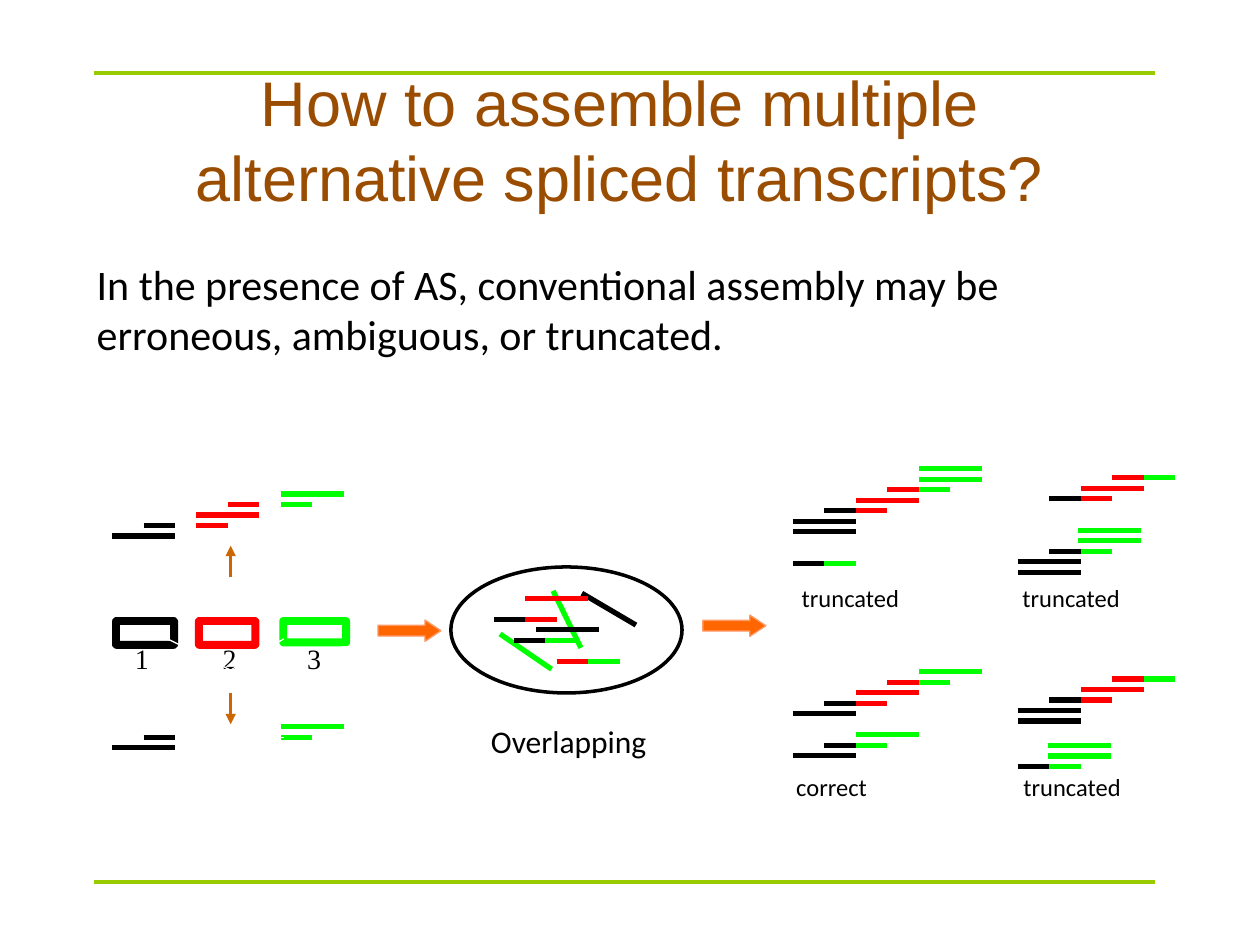
from pptx import Presentation
from pptx.dml.color import RGBColor
from pptx.enum.shapes import MSO_CONNECTOR, MSO_SHAPE
from pptx.enum.text import MSO_ANCHOR, PP_ALIGN
from pptx.oxml.ns import qn
from pptx.util import Cm, Pt
from lxml import etree

STRAIGHT = MSO_CONNECTOR.STRAIGHT
ROUNDED = MSO_SHAPE.ROUNDED_RECTANGLE
OVAL = MSO_SHAPE.OVAL
RIGHT_ARROW = MSO_SHAPE.RIGHT_ARROW
MIDDLE, TOP = MSO_ANCHOR.MIDDLE, MSO_ANCHOR.TOP
CENTER, LEFT = PP_ALIGN.CENTER, PP_ALIGN.LEFT

COLORS = {
    "black": "000000", "red": "FF0000", "green": "00FF00", "white": "FFFFFF",
    "title": "9A4D00", "rule": "99CC00", "pointer": "CC6600",
    "arrow": "FF6600", "arrow_edge": "FF9966",
}
COLUMN = 0.635
ROW = 0.2117
EXON_2, EXON_3 = 2.68, 5.36

UNSPLICED_READS = [
    ("green", EXON_3, 0, 2), ("green", EXON_3, 1, 1),
    ("red", EXON_2 + 1, 1, 1), ("red", EXON_2, 2, 2), ("red", EXON_2, 3, 1),
    ("black", 1, 3, 1), ("black", 0, 4, 2),
]
SKIPPED_READS = [
    ("green", EXON_3, 0, 2), ("green", EXON_3, 1, 1),
    ("black", 1, 1, 1), ("black", 0, 2, 2),
]
MIXED_READS = [
    ("red", 1, 0, 2), ("black", 0, 2, 1), ("red", 1, 2, 1),
    ("black", 1.36, 3, 2), ("black", 0.64, 4, 1), ("green", 1.64, 4, 1),
    ("red", 2, 6, 1), ("green", 3, 6, 1),
]
MIXED_DIAGONALS = [
    ("green", 2.62, 1.63, 2.06, 0.48),
    ("black", 2.64, 0.53, 3.73, 1.17),
    ("green", 0.99, 1.35, 2.03, 2.06),
]
LONG_STAIR = [
    ("red", 3, 0, 1), ("green", 4, 0, 1), ("red", 2, 1, 2),
    ("red", 2, 2, 1), ("black", 1, 2, 1),
]
ASSEMBLIES = [
    (15.98, 9.45, LONG_STAIR, 2, [
        ("green", 4, 0, 2), ("green", 4, 1, 2), ("black", 0, 5, 2),
        ("black", 0, 6, 2), ("black", 0, 9, 1), ("green", 1, 9, 1)],
     "truncated", -0.08, 11.63, 2.49),
    (20.52, 9.63, LONG_STAIR, 0, [
        ("green", 1.92, 5, 2), ("green", 1.92, 6, 2), ("black", 1, 7, 1),
        ("green", 2, 7, 1), ("black", 0, 8, 2), ("black", 0, 9, 2)],
     "truncated", -0.17, 11.63, 2.49),
    (15.98, 13.54, LONG_STAIR, 1, [
        ("green", 4, 0, 2), ("black", 0, 4, 2), ("green", 2, 6, 2),
        ("black", 1, 7, 1), ("green", 2, 7, 1), ("black", 0, 8, 2)],
     "correct", -0.18, 15.44, 1.93),
    (20.52, 13.69, LONG_STAIR, 0, [
        ("black", 0, 3, 2), ("black", 0, 4, 2), ("green", 0.96, 6.33, 2),
        ("green", 0.96, 7.33, 2), ("black", 0, 8.33, 1), ("green", 1, 8.33, 1)],
     "truncated", -0.15, 15.44, 2.49),
]


def rgb(name):
    return RGBColor.from_string(COLORS[name])


def add_line(slide, x1, y1, x2, y2, color, width=3):
    line = slide.shapes.add_connector(STRAIGHT, Cm(x1), Cm(y1), Cm(x2), Cm(y2))
    line.line.color.rgb = rgb(color)
    line.line.width = Pt(width)
    etree.SubElement(line._element.spPr, qn("a:effectLst"))
    return line


def add_pointer(slide, x, start, end):
    pointer = add_line(slide, x, start, x, end, "pointer", 1.5)
    outline = pointer.line._get_or_add_ln()
    etree.SubElement(outline, qn("a:tailEnd"), type="triangle")


def style_shape(shape, edge, width, fill=None):
    shape.shadow.inherit = False
    shape.line.color.rgb = rgb(edge)
    shape.line.width = Pt(width)
    if fill:
        shape.fill.solid()
        shape.fill.fore_color.rgb = rgb(fill)
    else:
        shape.fill.background()


def add_shape(slide, kind, left, top, width, height, *style):
    shape = slide.shapes.add_shape(kind, Cm(left), Cm(top), Cm(width), Cm(height))
    style_shape(shape, *style)
    return shape


def add_text(slide, text, left, top, width, height, size, font="Calibri",
             color="black", align=CENTER, wrap=False, anchor=TOP, inset=True):
    box = slide.shapes.add_textbox(Cm(left), Cm(top), Cm(width), Cm(height))
    frame = box.text_frame
    frame.text = text
    frame.word_wrap = wrap
    frame.vertical_anchor = anchor
    if not inset:
        frame.margin_left = frame.margin_right = 0
        frame.margin_top = frame.margin_bottom = 0
    paragraph = frame.paragraphs[0]
    paragraph.alignment = align
    run_font = paragraph.runs[0].font
    run_font.size, run_font.name = Pt(size), font
    run_font.color.rgb = rgb(color)


def add_reads(slide, left, top, reads):
    for color, column, row, length in reads:
        x, y = left + column * COLUMN, top + row * ROW
        add_line(slide, x, y, x + length * COLUMN, y, color)


def add_header(slide, left, top, width):
    for y in (top, top + 16.3):
        add_line(slide, left, y, left + width, y, "rule", 2.25)
    add_text(slide, "How to assemble multiple alternative spliced transcripts?",
             left + 0.64, top + 0.43, 19.9, 1.78, 36, "Arial", "title",
             wrap=True, anchor=MIDDLE, inset=False)
    add_text(slide, "In the presence of AS, conventional assembly may be "
             "erroneous, ambiguous, or truncated.",
             left - 0.2, top + 3.6, 22.23, 2.29, 24, align=LEFT, wrap=True)


def add_gene(slide, left, top):
    exons = [("black", 0.08, 1.17, 0.48, 0.21), ("red", 1.75, 1.14, 0.48, 1.98),
             ("green", 3.45, 1.27, 0.43, 3.68)]
    for number, (color, x, width, height, label_x) in enumerate(exons, 1):
        exon = add_shape(slide, ROUNDED, left + x, top, width, height, color, 4.5)
        exon.adjustments[0] = 0.01
        add_text(slide, str(number), left + label_x, top + 0.28, 0.79, 0.94, 16,
                 "Times New Roman", align=LEFT)
    add_reads(slide, left, top - 2.56, UNSPLICED_READS)
    add_reads(slide, left, top + 2.13, SKIPPED_READS)
    add_line(slide, left + 1.27, top + 2.34, left + 3.46, top + 2.34, "white", 0.75)
    splice = slide.shapes.build_freeform(Cm(left + 1.12), Cm(top + 0.36))
    splice.add_line_segments([(Cm(left + 2.39), Cm(top + 0.99)),
                              (Cm(left + 3.46), Cm(top + 0.36))], close=False)
    style_shape(splice.convert_to_shape(), "white", 0.75)
    add_pointer(slide, left + 2.39, top - 0.89, top - 1.52)
    add_pointer(slide, left + 2.39, top + 1.45, top + 2.08)


def add_overlap(slide, left, top):
    for color, x1, y1, x2, y2 in MIXED_DIAGONALS:
        add_line(slide, left + x1, top + y1, left + x2, top + y2, color)
    add_reads(slide, left + 0.86, top + 0.63, MIXED_READS)
    add_shape(slide, OVAL, left, top, 4.66, 2.54, "black", 2)
    add_text(slide, "Overlapping", left + 0.36, top + 3, 4.03, 1.02, 18)


def add_assembly(slide, left, top, stair, stair_row, reads, label, label_x,
                 label_top, label_width):
    add_reads(slide, left, top + stair_row * ROW, stair)
    add_reads(slide, left, top, reads)
    add_text(slide, label, left + label_x, label_top, label_width, 0.86, 14)


def main():
    presentation = Presentation()
    presentation.slide_width, presentation.slide_height = Cm(25.4), Cm(19.05)
    slide = presentation.slides.add_slide(presentation.slide_layouts[6])
    add_header(slide, 1.9, 1.48, 21.39)
    add_gene(slide, 2.26, 12.52)
    add_overlap(slide, 9.09, 11.43)
    for left, top in ((7.62, 12.5), (14.17, 12.4)):
        arrow = add_shape(slide, RIGHT_ARROW, left, top, 1.27, 0.43,
                          "arrow_edge", 0.75, "arrow")
        arrow.adjustments[1] = 0.75
    for assembly in ASSEMBLIES:
        add_assembly(slide, *assembly)
    presentation.save("out.pptx")


if __name__ == "__main__":
    main()
